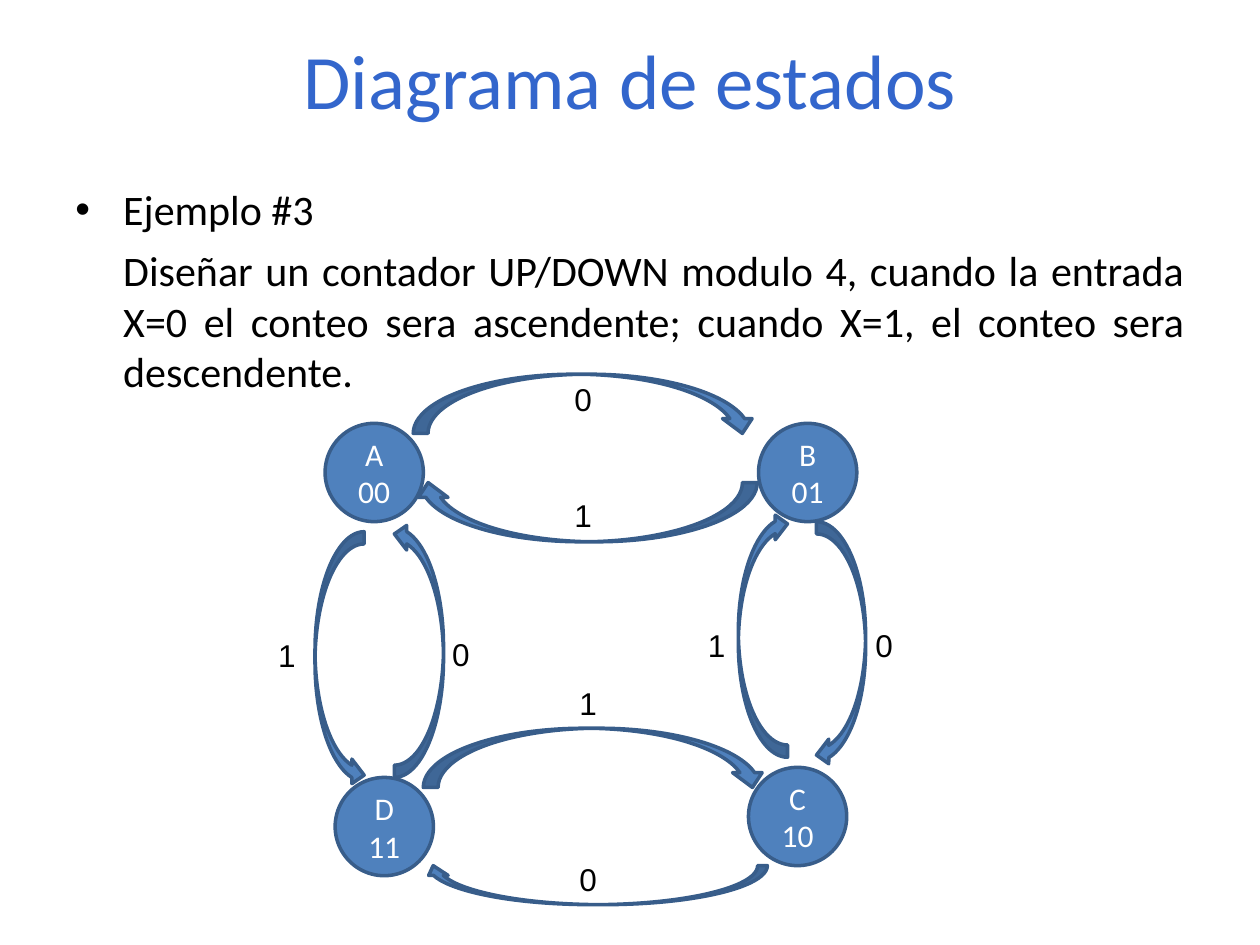
"""Build the state diagram slide of an up/down modulo 4 counter."""
import dataclasses
import typing

import lxml.etree
import pptx
import pptx.dml.color
import pptx.enum.shapes
import pptx.enum.text
import pptx.oxml.ns
import pptx.util

Inches = pptx.util.Inches
Kind = pptx.enum.shapes.MSO_SHAPE
Align = pptx.enum.text.PP_ALIGN
Anchor = pptx.enum.text.MSO_ANCHOR


@dataclasses.dataclass(frozen=True)
class Theme:
    heading: str = "3366CC"
    ink: str = "000000"
    state_text: str = "FFFFFF"
    fill: str = "4F81BD"
    outline: str = "385D8A"
    line_width: float = 2
    body_font: str = "Calibri"
    label_font: str = "Arial"
    title_size: float = 44
    body_size: float = 24
    diagram_size: float = 18


@dataclasses.dataclass(frozen=True)
class State:
    name: str
    code: str
    left: float
    top: float


@dataclasses.dataclass(frozen=True)
class Transition:
    kind: Kind
    left: float
    top: float
    width: float
    height: float
    turned: bool = False


@dataclasses.dataclass(frozen=True)
class InputLabel:
    value: str
    left: float
    top: float


THEME = Theme()
STATE_SIZE = 0.78
HANGING = 0.38
STATES = (
    State("A", "00", 2.58, 3.36),
    State("B", "01", 6.02, 3.36),
    State("C", "10", 5.94, 6.09),
    State("D", "11", 2.66, 6.17),
)
TRANSITIONS = (
    Transition(Kind.CURVED_DOWN_ARROW, 3.28, 2.97, 2.73, 0.47),
    Transition(Kind.CURVED_DOWN_ARROW, 3.28, 3.83, 2.73, 0.47, turned=True),
    Transition(Kind.CURVED_DOWN_ARROW, 3.36, 5.78, 2.73, 0.47),
    Transition(Kind.CURVED_DOWN_ARROW, 3.36, 6.87, 2.73, 0.31, turned=True),
    Transition(Kind.CURVED_LEFT_ARROW, 6.48, 4.14, 0.39, 1.95),
    Transition(Kind.CURVED_RIGHT_ARROW, 2.5, 4.22, 0.39, 2.03),
    Transition(Kind.CURVED_LEFT_ARROW, 5.86, 4.06, 0.39, 1.95, turned=True),
    Transition(Kind.CURVED_RIGHT_ARROW, 3.13, 4.14, 0.39, 2.03, turned=True),
)
INPUT_LABELS = (
    InputLabel("0", 3.49, 4.99),
    InputLabel("0", 4.46, 2.97),
    InputLabel("0", 6.85, 4.92),
    InputLabel("0", 4.5, 6.78),
    InputLabel("1", 2.11, 5),
    InputLabel("1", 4.46, 3.89),
    InputLabel("1", 5.52, 4.92),
    InputLabel("1", 4.5, 5.38),
)


def rgb(value: str) -> pptx.dml.color.RGBColor:
    return pptx.dml.color.RGBColor.from_string(value)


def write(frame: typing.Any, text: str, *, size: float, color: str = THEME.ink,
          font: str = THEME.body_font, align: Align = Align.LEFT,
          before: float = 0, margin: float = 0, bullet: str = "") -> None:
    paragraph = frame.paragraphs[0] if not frame.text else frame.add_paragraph()
    paragraph.alignment = align
    paragraph.space_before = pptx.util.Pt(before)
    run = paragraph.add_run()
    run.text = text
    run.font.size = pptx.util.Pt(size)
    run.font.name = font
    run.font.color.rgb = rgb(color)
    properties = paragraph._p.get_or_add_pPr()
    properties.set("marL", str(Inches(margin)))
    properties.set("indent", str(-Inches(margin) if bullet else 0))
    if bullet:
        for tag, attribute, value in (("a:buFont", "typeface", THEME.label_font),
                                      ("a:buChar", "char", bullet)):
            mark = lxml.etree.SubElement(properties, pptx.oxml.ns.qn(tag))
            mark.set(attribute, value)


def add_text_frame(slide: typing.Any, left: float, top: float, width: float,
                   height: float, wrap: bool = True) -> typing.Any:
    frame = slide.shapes.add_textbox(
        Inches(left), Inches(top), Inches(width), Inches(height)).text_frame
    frame.word_wrap = wrap
    return frame


def add_blue_shape(slide: typing.Any, kind: Kind, left: float, top: float,
                   width: float, height: float) -> typing.Any:
    shape = slide.shapes.add_shape(
        kind, Inches(left), Inches(top), Inches(width), Inches(height))
    shape.shadow.inherit = False
    shape.fill.solid()
    shape.fill.fore_color.rgb = rgb(THEME.fill)
    shape.line.color.rgb = rgb(THEME.outline)
    shape.line.width = pptx.util.Pt(THEME.line_width)
    return shape


def draw_state(slide: typing.Any, state: State) -> None:
    circle = add_blue_shape(
        slide, Kind.OVAL, state.left, state.top, STATE_SIZE, STATE_SIZE)
    circle.text_frame.vertical_anchor = Anchor.MIDDLE
    for text in (state.name, state.code):
        write(circle.text_frame, text, size=THEME.diagram_size,
              color=THEME.state_text, align=Align.CENTER)


def draw_transition(slide: typing.Any, transition: Transition) -> None:
    arrow = add_blue_shape(slide, transition.kind, transition.left, transition.top,
                           transition.width, transition.height)
    arrow.rotation = 180 if transition.turned else 0


def draw_input_label(slide: typing.Any, label: InputLabel) -> None:
    frame = add_text_frame(slide, label.left, label.top, 0.34, 0.4, wrap=False)
    frame.auto_size = pptx.enum.text.MSO_AUTO_SIZE.SHAPE_TO_FIT_TEXT
    write(frame, label.value, size=THEME.diagram_size, font=THEME.label_font)


def main() -> None:
    deck = pptx.Presentation()
    deck.slide_width, deck.slide_height = Inches(10), Inches(7.5)
    slide = deck.slides.add_slide(deck.slide_layouts[6])

    title = add_text_frame(slide, 0.75, 0, 8.5, 1.25)
    title.vertical_anchor = Anchor.MIDDLE
    write(title, "Diagrama de estados", size=THEME.title_size,
          color=THEME.heading, align=Align.CENTER)

    exercise = add_text_frame(slide, 0.5, 1.41, 9, 2.03)
    write(exercise, "Ejemplo #3", size=THEME.body_size, before=6,
          margin=HANGING, bullet="•")
    write(exercise,
          "Diseñar un contador UP/DOWN modulo 4, cuando la entrada X=0 el conteo "
          "sera ascendente; cuando X=1, el conteo sera descendente.",
          size=THEME.body_size, before=6, margin=HANGING, align=Align.JUSTIFY)

    for state in STATES:
        draw_state(slide, state)
    for transition in TRANSITIONS:
        draw_transition(slide, transition)
    for label in INPUT_LABELS:
        draw_input_label(slide, label)
    deck.save("out.pptx")


if __name__ == "__main__":
    main()
